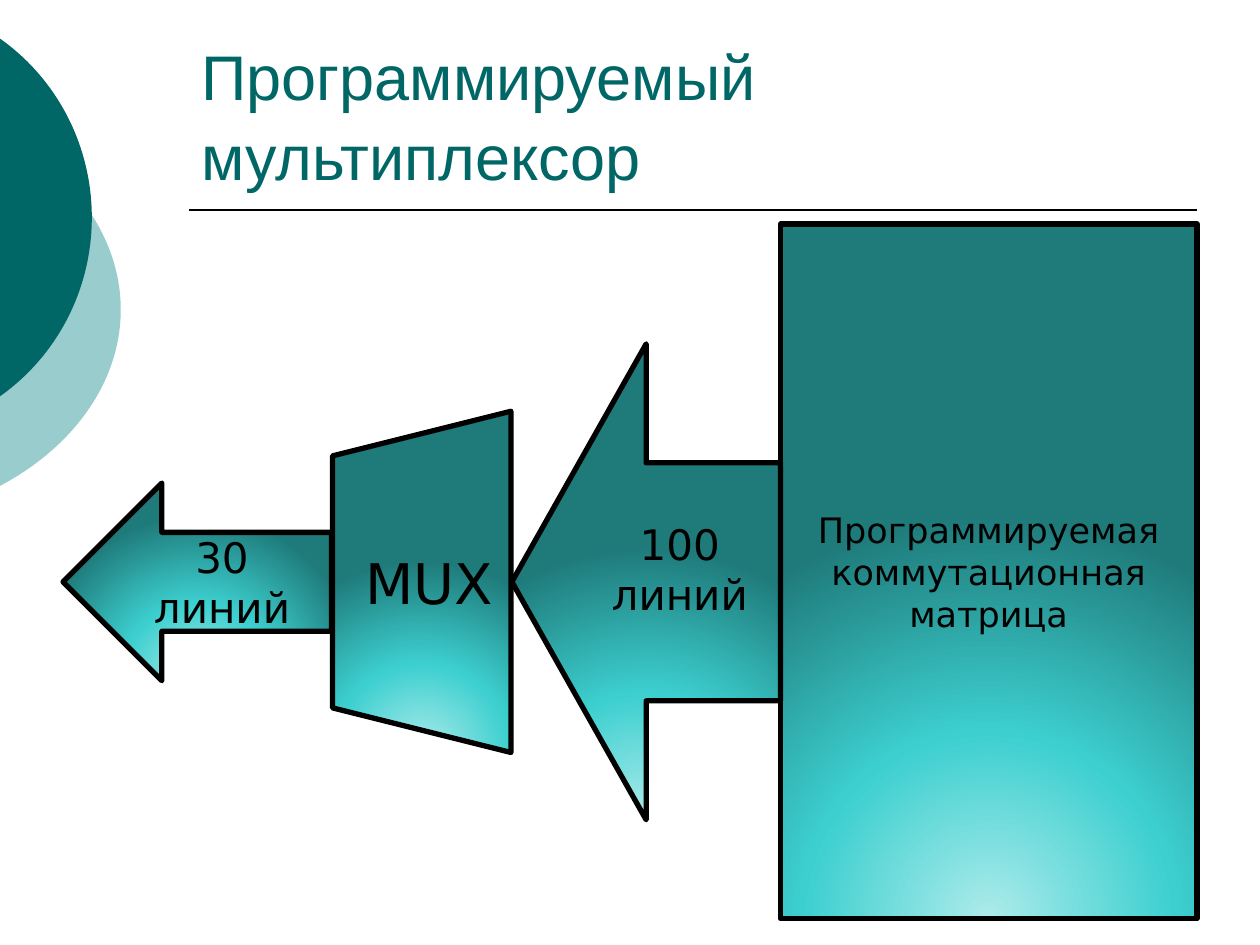
from pptx import Presentation, oxml
from pptx import util as u
from pptx.dml.color import RGBColor
from pptx.enum import shapes, text
from pptx.oxml import ns


def color(value):
    return RGBColor.from_string(value)


class SlideBuilder:
    """Hold the style and the current slide, and draw each kind of element."""

    teal, pale_teal, black = "006666", "99CCCC", "000000"
    title_font, body_font = "Arial", "DejaVu Sans"
    stops = ((0, "ADEBEB"), (46, "3DCFCF"), (100, "1F7A7A"))

    def __init__(self, presentation):
        self.slide = presentation.slides.add_slide(presentation.slide_layouts[5])

    def add_words(self, paragraph, words, font, size, hex_color, alignment):
        paragraph.alignment = alignment
        run = paragraph.add_run()
        run.text = words
        run.font.name = font
        run.font.size = u.Pt(size)
        run.font.color.rgb = color(hex_color)

    def title(self, words, box):
        shape = self.slide.shapes.title
        shape.left, shape.top, shape.width, shape.height = map(u.Pt, box)
        frame = shape.text_frame
        frame.word_wrap = True
        frame.auto_size = text.MSO_AUTO_SIZE.NONE
        frame.vertical_anchor = text.MSO_ANCHOR.BOTTOM
        paragraph = frame.paragraphs[0]
        paragraph.line_spacing = 1.06
        self.add_words(paragraph, words, self.title_font, 36, self.teal, text.PP_ALIGN.LEFT)

    def shape(self, kind, box):
        shape = self.slide.shapes.add_shape(kind, *map(u.Pt, box))
        shape.shadow.inherit = False
        return shape

    def chord(self, box, angle, hex_color):
        shape = self.shape(shapes.MSO_SHAPE.CHORD, box)
        shape.adjustments[0] = (360 - angle) * 0.6
        shape.adjustments[1] = angle * 0.6
        shape.fill.solid()
        shape.fill.fore_color.rgb = color(hex_color)
        shape.line.fill.background()

    def rule(self, left, right, top):
        line = self.slide.shapes.add_connector(
            shapes.MSO_CONNECTOR.STRAIGHT, *map(u.Pt, (left, top, right, top)))
        line.line.color.rgb = color(self.black)
        line.line.width = u.Pt(1)
        line.element.spPr.append(oxml.parse_xml(f"<a:effectLst {ns.nsdecls('a')}/>"))

    def glow(self, shape):
        shape.fill.gradient()
        properties = shape.element.spPr
        stops = "".join(
            f'<a:gs pos="{position * 1000}"><a:srgbClr val="{value}"/></a:gs>'
            for position, value in self.stops)
        properties.replace(properties.find(ns.qn("a:gradFill")), oxml.parse_xml(
            f'<a:gradFill {ns.nsdecls("a")} rotWithShape="0"><a:gsLst>{stops}</a:gsLst>'
            '<a:path path="circle"><a:fillToRect l="50000" t="130000" r="50000" b="-30000"/>'
            '</a:path></a:gradFill>'))

    def block(self, kind, box, words, size, rotation=0, top_inset=None):
        shape = self.shape(kind, box)
        self.glow(shape)
        shape.line.color.rgb = color(self.black)
        shape.line.width = u.Pt(3)
        frame = shape.text_frame
        frame.word_wrap = True
        frame.vertical_anchor = text.MSO_ANCHOR.MIDDLE
        if rotation:
            shape.rotation = rotation
            shape.element.txBody.bodyPr.set("vert", "vert")
        if top_inset is not None:
            frame.vertical_anchor = text.MSO_ANCHOR.TOP
            frame.margin_top = u.Pt(top_inset)
        self.add_words(frame.paragraphs[0], words, self.body_font, size, self.black,
                       text.PP_ALIGN.CENTER)


def main():
    presentation = Presentation()
    presentation.slide_width, presentation.slide_height = u.Pt(720), u.Pt(540)
    builder = SlideBuilder(presentation)
    builder.chord((-255, 54, 324, 246), 47.3, builder.pale_teal)
    builder.chord((-191, 0, 243.5, 248.5), 55.9, builder.teal)
    builder.rule(108, 684, 120)
    builder.title("Программируемый мультиплексор", (108, 24, 576, 90))
    kinds = shapes.MSO_SHAPE
    builder.block(kinds.RECTANGLE, (446, 128, 238, 397),
                  "Программируемая коммутационная матрица", 20)
    builder.block(kinds.LEFT_ARROW, (292.5, 196.5, 153.5, 272), "100 линий", 24, top_inset=31.6)
    builder.block(kinds.TRAPEZOID, (143.5, 281.5, 195, 102), "MUX", 32, rotation=270)
    builder.block(kinds.LEFT_ARROW, (36, 276, 153.5, 113), "30 линий", 24)
    presentation.save("out.pptx")


if __name__ == "__main__":
    main()
